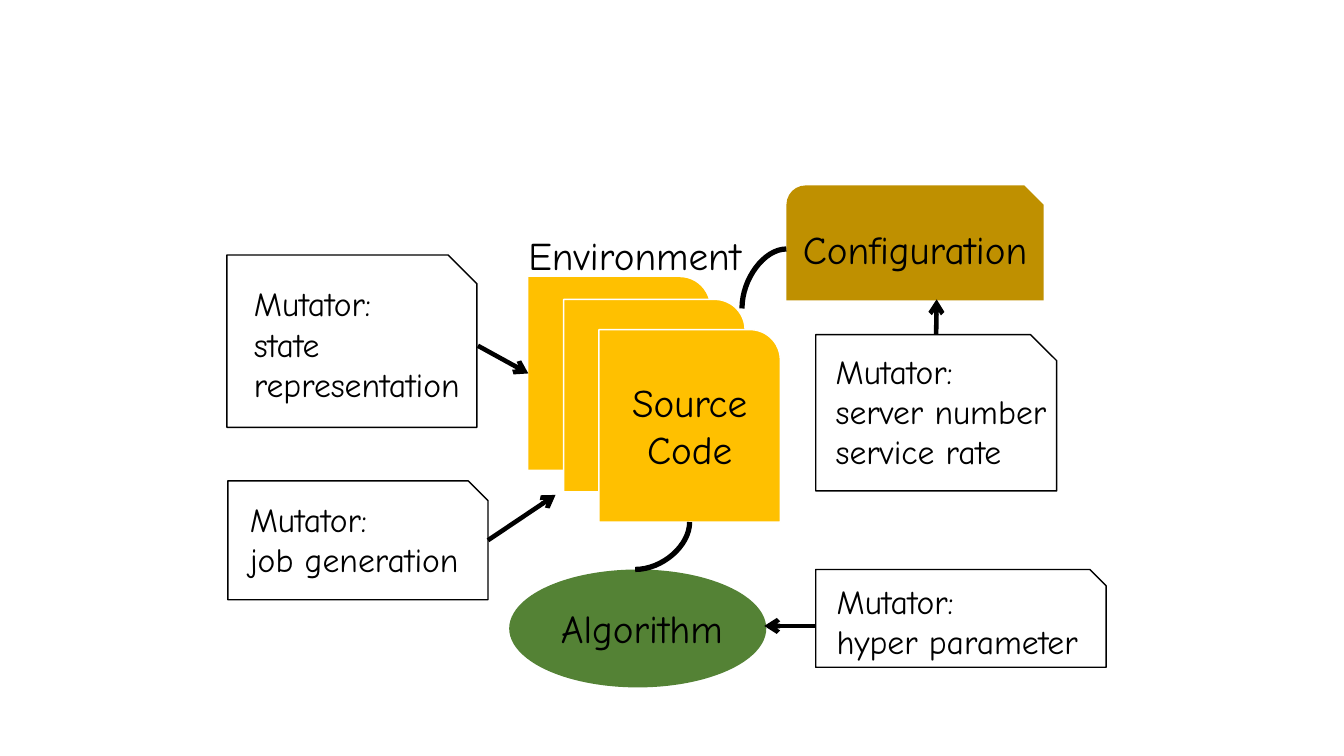
import lxml.etree
import pptx
import pptx.dml.color
import pptx.enum.shapes
import pptx.enum.text
import pptx.oxml.ns
import pptx.util

Inches = pptx.util.Inches
Pt = pptx.util.Pt
RGBColor = pptx.dml.color.RGBColor
Shape = pptx.enum.shapes.MSO_SHAPE
Connector = pptx.enum.shapes.MSO_CONNECTOR
Align = pptx.enum.text.PP_ALIGN
qn = pptx.oxml.ns.qn

BLACK = RGBColor(0x00, 0x00, 0x00)
WHITE = RGBColor(0xFF, 0xFF, 0xFF)
AMBER = RGBColor(0xFF, 0xC0, 0x00)
OCHRE = RGBColor(0xBF, 0x90, 0x00)
GREEN = RGBColor(0x54, 0x82, 0x35)

TOP, LEFT, RIGHT = 0, 1, 3  # connection sites


class Diagram:
    """Holds the text style and the page being drawn."""

    font_name = "Comic Neue"

    def __init__(self, page):
        self.page = page

    def block(self, kind, place, fill=None, line=None):
        shape = self.page.shapes.add_shape(kind, *map(Inches, place))
        shape.shadow.inherit = False
        if fill is None:
            shape.fill.background()
        else:
            shape.fill.solid()
            shape.fill.fore_color.rgb = fill
        if line is None:
            shape.line.fill.background()
        else:
            shape.line.color.rgb = line
            shape.line.width = Pt(1)
        return shape

    def text(self, lines, place, size=28, align=Align.CENTER):
        box = self.page.shapes.add_textbox(*map(Inches, place))
        frame = box.text_frame
        frame.word_wrap = True
        frame.auto_size = pptx.enum.text.MSO_AUTO_SIZE.SHAPE_TO_FIT_TEXT
        frame.text = "\n".join(lines)
        for para in frame.paragraphs:
            para.alignment = align
            para.font.name = self.font_name
            para.font.size = Pt(size)
            para.font.color.rgb = BLACK

    def mutator(self, lines, place, text_place):
        note = self.block(Shape.SNIP_1_RECTANGLE, place, line=BLACK)
        self.text(["Mutator:", *lines], text_place, 24, Align.LEFT)
        return note

    def link(self, kind, start, end, width):
        link = self.page.shapes.add_connector(kind, *map(Inches, start + end))
        link.line.color.rgb = BLACK
        link.line.width = Pt(width)
        lxml.etree.SubElement(link._element.spPr, qn("a:effectLst"))
        return link

    def arrow(self, start, end):
        arrow = self.link(Connector.STRAIGHT, start, end, 3.25)
        outline = arrow._element.spPr.find(qn("a:ln"))
        lxml.etree.SubElement(outline, qn("a:tailEnd"), type="arrow")
        return arrow

    def arc(self, start, end):
        """Quarter curve that leaves start horizontally."""
        arc = self.link(Connector.CURVE, start, end, 3.75)
        arc._element.spPr.find(qn("a:prstGeom")).set("prst", "curvedConnector2")


def main():
    deck = pptx.Presentation()
    deck.slide_width = Inches(13.33)
    deck.slide_height = Inches(7.5)
    diagram = Diagram(deck.slides.add_slide(deck.slide_layouts[6]))

    # Environment: a stack of source code sheets
    sheets = [
        diagram.block(Shape.ROUND_1_RECTANGLE, (left, top, 1.8, 1.91), AMBER, line)
        for left, top, line in [(5.24, 2.75, None), (5.59, 2.97, WHITE), (5.94, 3.27, WHITE)]
    ]
    diagram.text(["Source", "Code"], (5.79, 3.7, 2.1, 1.04))
    diagram.text(["Environment"], (5.02, 2.25, 2.55, 0.57))

    # Configuration and algorithm, each tied to the stack
    diagram.block(Shape.SNIP_ROUND_RECTANGLE, (7.8, 1.84, 2.55, 1.14), OCHRE)
    diagram.text(["Configuration"], (7.8, 2.19, 2.55, 0.57))
    diagram.arc((7.8, 2.47), (7.36, 3.06))
    diagram.block(Shape.OVAL, (5.05, 5.65, 2.55, 1.17), GREEN)
    diagram.text(["Algorithm"], (5.09, 5.95, 2.55, 0.57))
    diagram.arc((6.3, 5.65), (6.84, 5.18))

    # Mutators
    server = diagram.mutator(["server number", "service rate"],
                             (8.09, 3.32, 2.39, 1.55), (8.19, 3.43, 2.46, 1.31))
    diagram.mutator(["hyper parameter"],
                    (8.09, 5.65, 2.88, 0.97), (8.2, 5.71, 2.77, 0.91))
    job = diagram.mutator(["job generation"],
                          (2.26, 4.77, 2.58, 1.18), (2.38, 4.9, 2.46, 0.91))
    diagram.mutator(["state", "representation"],
                    (2.25, 2.53, 2.48, 1.71), (2.42, 2.76, 2.38, 1.31))

    # Arrows from each mutator to what it changes
    diagram.arrow((9.29, 3.32), (9.29, 2.97)).begin_connect(server, TOP)
    diagram.arrow((8.08, 6.21), (7.58, 6.21))
    diagram.arrow((4.84, 5.35), (5.51, 4.91)).begin_connect(job, RIGHT)
    diagram.arrow((4.74, 3.43), (5.24, 3.7)).end_connect(sheets[0], LEFT)

    deck.save("out.pptx")


if __name__ == "__main__":
    main()
